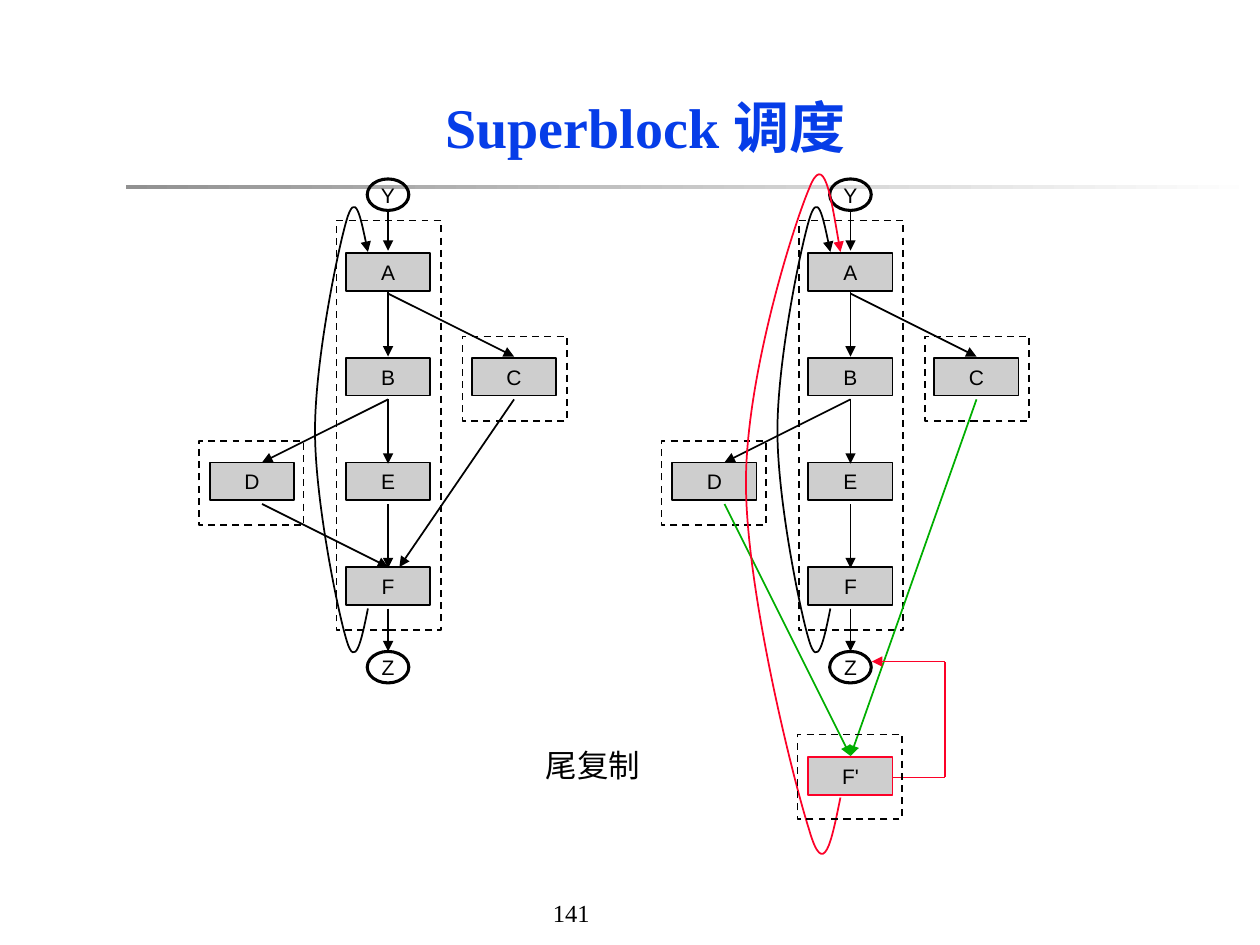
from lxml import etree
from pptx import Presentation
from pptx.dml.color import RGBColor
from pptx.enum.dml import MSO_LINE
from pptx.enum.shapes import MSO_CONNECTOR, MSO_SHAPE
from pptx.enum.text import MSO_ANCHOR, PP_ALIGN
from pptx.oxml.ns import qn
from pptx.util import Inches, Pt

BLACK = RGBColor(0x00, 0x00, 0x00)
WHITE = RGBColor(0xFF, 0xFF, 0xFF)
BLUE = RGBColor(0x06, 0x3D, 0xE8)
RED = RGBColor(0xFC, 0x01, 0x28)
GREEN = RGBColor(0x00, 0xAE, 0x00)
NODE_GRAY = RGBColor(0xCE, 0xCE, 0xCE)
RULE_GRAY = RGBColor(0x91, 0x91, 0x91)
RECTANGLE, OVAL = MSO_SHAPE.RECTANGLE, MSO_SHAPE.OVAL
STRAIGHT = MSO_CONNECTOR.STRAIGHT
DASH = MSO_LINE.DASH
MIDDLE = MSO_ANCHOR.MIDDLE
CENTER, LEFT = PP_ALIGN.CENTER, PP_ALIGN.LEFT

LABEL = {"name": "Arial", "size": Pt(12), "bold": False}
CAPTION = {"name": "Arial", "size": Pt(18), "bold": False}
TITLE = {"name": "Times New Roman", "size": Pt(32), "bold": True}
PAGE = {"name": "Times New Roman", "size": Pt(14), "bold": False}

NODE_WIDTH, NODE_HEIGHT = 0.67, 0.3
FIRST_ROW, ROW_PITCH = 0.59, 0.83
TRUNK, C_COLUMN, D_COLUMN = 1.5, 2.5, 0.42
ROWS = [FIRST_ROW + ROW_PITCH * index for index in range(4)]
NODES = [("A", TRUNK, ROWS[0]), ("B", TRUNK, ROWS[1]), ("C", C_COLUMN, ROWS[1]),
         ("D", D_COLUMN, ROWS[2]), ("E", TRUNK, ROWS[2]), ("F", TRUNK, ROWS[3])]
TRUNK_ARROWS = [(0.24, 0.57), (0.9, 1.41), (1.75, 2.26), (2.58, 3.09), (3.41, 3.75)]
BRANCHES = [((TRUNK, 0.91), (C_COLUMN, 1.41)), ((TRUNK, 1.75), (0.5, 2.25))]
C_EXIT, D_EXIT = (C_COLUMN, 1.75), (0.5, 2.58)
BLOCKS = [(1.09, 0.33, 0.83, 3.25), (2.09, 1.25, 0.83, 0.67), (0, 2.08, 0.83, 0.67)]
COPY_BLOCK = (1.08, 4.41, 0.83, 0.67)
BACK_EDGE = [(1.34, 3.41), (1.29, 3.66), (1.24, 3.9), (1.17, 3.66), (1.1, 3.43),
             (0.92, 2.55), (0.92, 2), (0.92, 1.44), (1.1, 0.57), (1.17, 0.33),
             (1.24, 0.09), (1.29, 0.34), (1.34, 0.58)]
COPY_BACK_EDGE = [(1.42, 4.91), (1.35, 5.25), (1.29, 5.58), (1.17, 5.16), (1.04, 4.75),
                  (0.67, 3.26), (0.67, 2.41), (0.67, 1.57), (1.04, 0.39), (1.17, 0.08),
                  (1.29, -0.23), (1.35, 0.18), (1.42, 0.58)]
COPY_EXIT = [(1.83, 4.75), (2.25, 4.75), (2.25, 3.83), (1.67, 3.83)]


def write_text(shape, text, format_values, color=BLACK, alignment=CENTER, wrap=True):
    """Put one formatted line of text in a shape."""
    frame = shape.text_frame
    frame.word_wrap = wrap
    frame.vertical_anchor = MIDDLE
    paragraph = frame.paragraphs[0]
    paragraph.alignment = alignment
    run = paragraph.add_run()
    run.text = text
    for name, value in format_values.items():
        setattr(run.font, name, value)
    run.font.color.rgb = color


def add_arrowhead(shape):
    """End a line with a triangle."""
    etree.SubElement(shape.get_or_add_ln(), qn("a:tailEnd"), type="triangle")


def add_outline(slide, kind, origin, box, color=BLACK, width=1):
    """Add an unfilled outline at a box relative to the origin."""
    left, top, box_width, height = box
    shape = slide.shapes.add_shape(kind, Inches(origin[0] + left), Inches(origin[1] + top),
                                   Inches(box_width), Inches(height))
    shape.shadow.inherit = False
    shape.fill.background()
    shape.line.color.rgb = color
    shape.line.width = Pt(width)
    return shape


def add_node(slide, origin, text, center, top, color=BLACK):
    """Add a gray basic block centred on its column."""
    box = (center - NODE_WIDTH / 2, top, NODE_WIDTH, NODE_HEIGHT)
    shape = add_outline(slide, RECTANGLE, origin, box, color)
    shape.fill.solid()
    shape.fill.fore_color.rgb = NODE_GRAY
    write_text(shape, text, LABEL)


def add_block(slide, origin, box):
    """Add a dashed frame around scheduled blocks."""
    add_outline(slide, RECTANGLE, origin, box).line.dash_style = DASH


def add_edge(slide, origin, start, end, color=BLACK, arrow=True):
    """Add a straight control-flow edge."""
    ends = [Inches(base + offset) for point in (start, end)
            for base, offset in zip(origin, point)]
    connector = slide.shapes.add_connector(STRAIGHT, *ends)
    connector.line.color.rgb = color
    connector.line.width = Pt(1)
    etree.SubElement(connector._element.spPr, qn("a:effectLst"))
    if arrow:
        add_arrowhead(connector)


def add_curve(slide, origin, points, color=BLACK):
    """Add a cubic back edge through a start point and control triples."""
    places = [(Inches(origin[0] + x), Inches(origin[1] + y)) for x, y in points]
    builder = slide.shapes.build_freeform(*places[0])
    builder.add_line_segments(places[1:], close=False)
    shape = builder.convert_to_shape()
    outline = next(shape._element.iter(qn("a:path")))
    segments = outline.findall(qn("a:lnTo"))
    for index in range(0, len(segments), 3):
        curve = etree.SubElement(outline, qn("a:cubicBezTo"))
        for segment in segments[index:index + 3]:
            curve.append(segment[0])
            outline.remove(segment)
    shape.shadow.inherit = False
    shape.fill.background()
    shape.line.color.rgb = color
    shape.line.width = Pt(1)
    add_arrowhead(shape)


def add_flow_graph(slide, origin):
    """Add the part of the flow graph common to both panels."""
    for text, center, top in NODES:
        add_node(slide, origin, text, center, top)
    for start, end in TRUNK_ARROWS:
        add_edge(slide, origin, (TRUNK, start), (TRUNK, end))
    for start, end in BRANCHES:
        add_edge(slide, origin, start, end)
    for box in BLOCKS:
        add_block(slide, origin, box)
    add_curve(slide, origin, BACK_EDGE)
    for text, top in (("Y", 0), ("Z", 3.75)):
        box = (TRUNK - 0.165, top, 0.33, 0.25)
        terminal = add_outline(slide, OVAL, origin, box, width=1.75)
        write_text(terminal, text, LABEL, wrap=False)


def add_before_panel(slide, origin):
    """Add the graph whose side blocks join at F."""
    add_flow_graph(slide, origin)
    add_edge(slide, origin, C_EXIT, (1.59, 3.08))
    add_edge(slide, origin, D_EXIT, (TRUNK, 3.08))


def add_after_panel(slide, origin):
    """Add the graph whose side blocks join at the duplicated tail."""
    add_flow_graph(slide, origin)
    for start in (C_EXIT, D_EXIT):
        add_edge(slide, origin, start, (TRUNK, 4.58), GREEN)
    add_node(slide, origin, "F'", TRUNK, 4.59, RED)
    for start, end in zip(COPY_EXIT, COPY_EXIT[1:]):
        add_edge(slide, origin, start, end, RED, arrow=end == COPY_EXIT[-1])
    add_curve(slide, origin, COPY_BACK_EDGE, RED)
    add_block(slide, origin, COPY_BLOCK)


def add_heading(slide, left, top, width, height):
    """Add the title and the fading rule below it."""
    rule = add_outline(slide, RECTANGLE, (left, top), (0, 0.97, 9, 0.03))
    rule.line.fill.background()
    rule.fill.gradient()
    rule.fill.gradient_angle = 0
    for stop, color in zip(rule.fill.gradient_stops, (RULE_GRAY, WHITE)):
        stop.color.rgb = color
    title = slide.shapes.title
    box = {"left": left, "top": top, "width": width, "height": height}
    for name, value in box.items():
        setattr(title, name, Inches(value))
    write_text(title, "Superblock 调度", TITLE, BLUE)


def add_text(slide, text, box, format_values, alignment, wrap):
    """Add a free line of text in a box."""
    shape = slide.shapes.add_textbox(*map(Inches, box))
    write_text(shape, text, format_values, alignment=alignment, wrap=wrap)


def main():
    """Build and save the slide."""
    presentation = Presentation()
    presentation.slide_width, presentation.slide_height = Inches(10), Inches(7.5)
    slide = presentation.slides.add_slide(presentation.slide_layouts[5])
    add_heading(slide, 1, 0.5, 8.25, 1)
    add_before_panel(slide, (1.58, 1.42))
    add_after_panel(slide, (5.25, 1.42))
    add_text(slide, "尾复制", (4.08, 5.87, 1.25, 0.4), CAPTION, CENTER, True)
    add_text(slide, "141", (4.29, 7.08, 1.02, 0.33), PAGE, LEFT, True)
    presentation.save("out.pptx")


if __name__ == "__main__":
    main()
